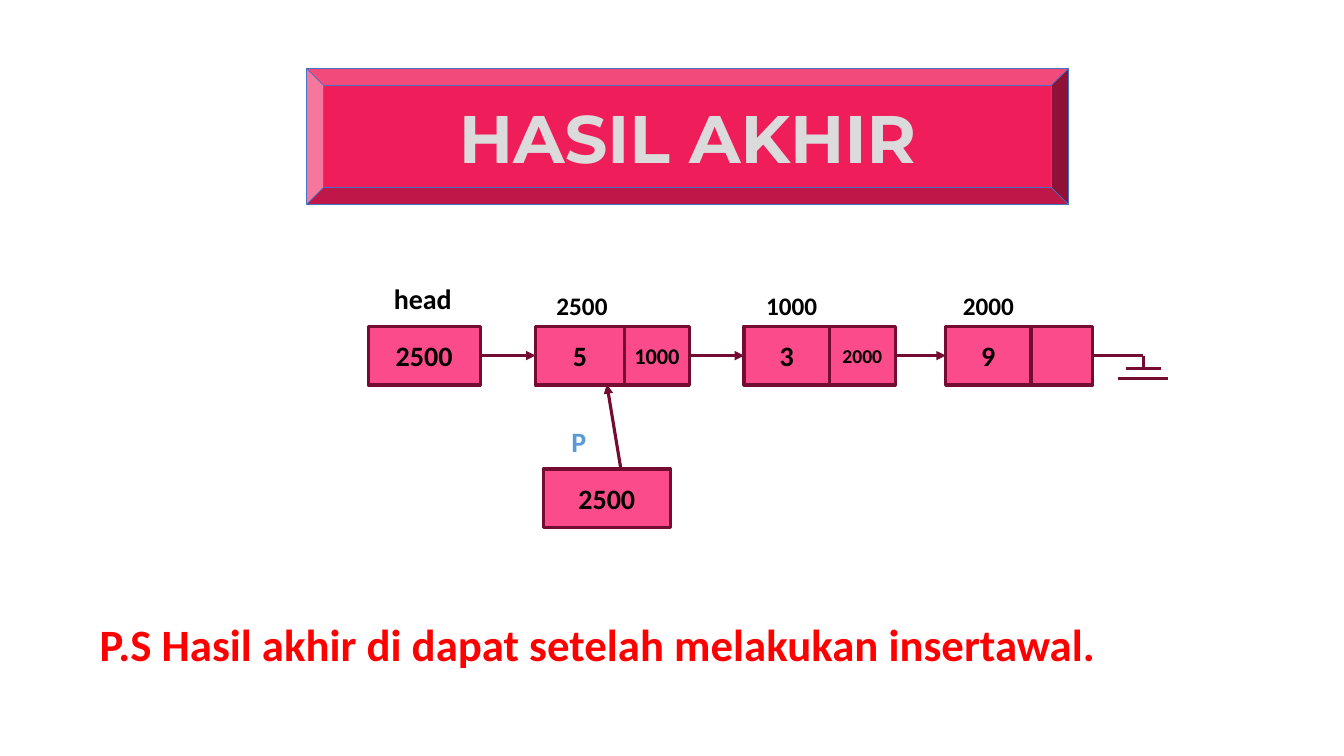
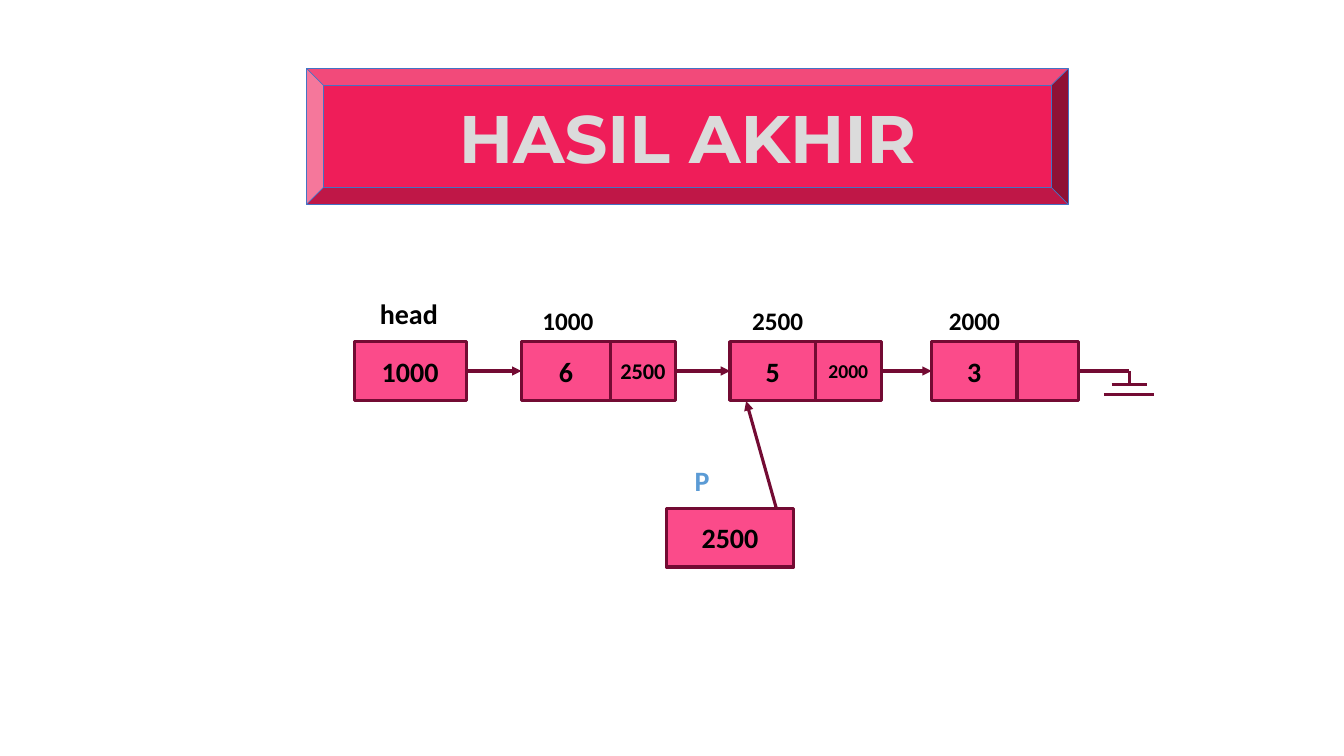
from lxml import etree
from pptx import Presentation
from pptx.dml.color import RGBColor
from pptx.enum import shapes as es, text as et
from pptx.oxml import ns
from pptx.util import Pt


class Theme:
    banner = RGBColor.from_string("EF1D59")
    banner_line = RGBColor.from_string("4472C4")
    title = RGBColor.from_string("DBDBDB")
    cell = RGBColor.from_string("FB4B8A")
    line = RGBColor.from_string("730B33")
    ink = RGBColor.from_string("000000")
    pointer = RGBColor.from_string("5B9BD5")
    note = RGBColor.from_string("FF0000")
    title_font, body_font = "Montserrat", "Calibri"
    title_size, note_size, value_size, address_size = 48, 32, 20, 18
    link_sizes = (16, 14, 14)
    line_width = 2.25


def write(sp, content, size=Theme.value_size, color=Theme.ink, font=Theme.body_font,
          align=et.PP_ALIGN.CENTER, anchor=et.MSO_ANCHOR.TOP, spacing=1.0, inset=7.2):
    tf = sp.text_frame
    tf.word_wrap = True
    tf.auto_size = et.MSO_AUTO_SIZE.NONE
    tf.vertical_anchor = anchor
    tf.margin_left = tf.margin_right = Pt(inset)
    p = tf.paragraphs[0]
    p.alignment, p.line_spacing, p.space_before = align, spacing, Pt(0)
    r = p.add_run()
    r.text = content
    r.font.name, r.font.size, r.font.bold = font, Pt(size), True
    r.font.color.rgb = color


def add_line(s, x1, y1, x2, y2, arrow=False):
    cn = s.shapes.add_connector(es.MSO_CONNECTOR.STRAIGHT, Pt(x1), Pt(y1), Pt(x2), Pt(y2))
    cn.line.color.rgb = Theme.line
    cn.line.width = Pt(Theme.line_width)
    pr = cn.element.spPr
    if arrow:
        etree.SubElement(pr.find(ns.qn("a:ln")), ns.qn("a:tailEnd"), type="triangle")
    etree.SubElement(pr, ns.qn("a:effectLst"))
    return cn


CELL_H = 42
BANNER = [Pt(v) for v in (219, 49, 544, 97)]
# Left edge from the head cell, data width, link width, address label shift
NODES = [(119.5, 63.5, 46.5, 1.5), (268.5, 61, 47, 3.5), (412.5, 61, 44, 0)]

# pointer: left and top of the P cell; arrow: start x, end x, end y
SLIDES = [
    dict(left=263, top=233, head="2500", pointer=(388, 335), arrow=(443.5, 433.5, 274.5),
         nodes=[("2500", "5", "1000"), ("1000", "3", "2000"), ("2000", "9", "")],
         note="P.S Hasil akhir di dapat setelah melakukan insertawal."),
    dict(left=253, top=244, head="1000", pointer=(476, 363), arrow=(554.5, 533, 286.5),
         nodes=[("1000", "6", "2500"), ("2500", "5", "2000"), ("2000", "3", "")],
         note=""),
]

prs = Presentation()
prs.slide_width, prs.slide_height = Pt(960), Pt(540)

for d in SLIDES:
    s = prs.slides.add_slide(prs.slide_layouts[0])
    left, top = d["left"], d["top"]
    px, py = d["pointer"]

    # Title on its bevelled banner
    banner = s.shapes.add_shape(es.MSO_SHAPE.BEVEL, *BANNER)
    banner.shadow.inherit = False
    banner.fill.solid()
    banner.fill.fore_color.rgb = Theme.banner
    banner.line.color.rgb = Theme.banner_line
    banner.line.width = Pt(0.5)
    title, pointer = s.shapes.title, s.placeholders[1]
    title.element.addprevious(banner.element)
    title.left, title.top, title.width, title.height = BANNER
    write(title, "HASIL AKHIR", size=Theme.title_size, color=Theme.title,
          font=Theme.title_font, anchor=et.MSO_ANCHOR.MIDDLE)

    # Cells and labels of the list
    boxes = [(left, top, 80, d["head"], Theme.value_size)]
    labels = []
    for (dx, data_w, link_w, shift), (address, value, link), size in zip(
            NODES, d["nodes"], Theme.link_sizes):
        x = left + dx
        boxes += [(x, top, data_w, value, Theme.value_size),
                  (x + data_w, top, link_w, link, size)]
        labels.append((x + shift, data_w, address))
    boxes.append((px, py, 91, "2500", Theme.value_size))

    cells = []
    for x, y, w, content, size in boxes:
        sp = s.shapes.add_shape(es.MSO_SHAPE.RECTANGLE, Pt(x), Pt(y), Pt(w), Pt(CELL_H))
        sp.shadow.inherit = False
        sp.fill.solid()
        sp.fill.fore_color.rgb = Theme.cell
        sp.line.color.rgb = Theme.line
        sp.line.width = Pt(Theme.line_width)
        if content:
            write(sp, content, size=size, anchor=et.MSO_ANCHOR.MIDDLE, inset=0)
        cells.append(sp)

    for x, w, address in labels:
        tb = s.shapes.add_textbox(Pt(x), Pt(top - 29.5), Pt(w), Pt(29))
        write(tb, address, size=Theme.address_size)
    tb = s.shapes.add_textbox(Pt(left + 5), Pt(top - 33), Pt(68), Pt(32))
    write(tb, "head", spacing=0.9)

    pointer.left, pointer.top, pointer.width, pointer.height = (
        Pt(px + 13), Pt(py - 32.5), Pt(47), Pt(32))
    write(pointer, "P", color=Theme.pointer, align=et.PP_ALIGN.LEFT, spacing=0.9)

    # Links from head to the last node, then the pointer arrow
    for i in (0, 2, 4):
        cn = add_line(s, 0, 0, 0, 0, arrow=True)
        cn.begin_connect(cells[i], 3)
        cn.end_connect(cells[i + 1], 1)
    start_x, end_x, end_y = d["arrow"]
    add_line(s, start_x, py, end_x, end_y, arrow=True)

    # Ground symbol that ends the list
    mid = top + CELL_H / 2
    ground_x = left + 553.5
    wire = add_line(s, ground_x - 36, mid, ground_x, mid)
    wire.begin_connect(cells[6], 3)
    add_line(s, ground_x, mid, ground_x, mid + 9.5)
    for half, drop in ((12.5, 9.5), (18, 16.5)):
        add_line(s, ground_x - half, mid + drop, ground_x + half, mid + drop)

    if d["note"]:
        tb = s.shapes.add_textbox(Pt(64), Pt(437), Pt(854), Pt(46))
        write(tb, d["note"], size=Theme.note_size, color=Theme.note, align=et.PP_ALIGN.LEFT)

prs.save("out.pptx")
